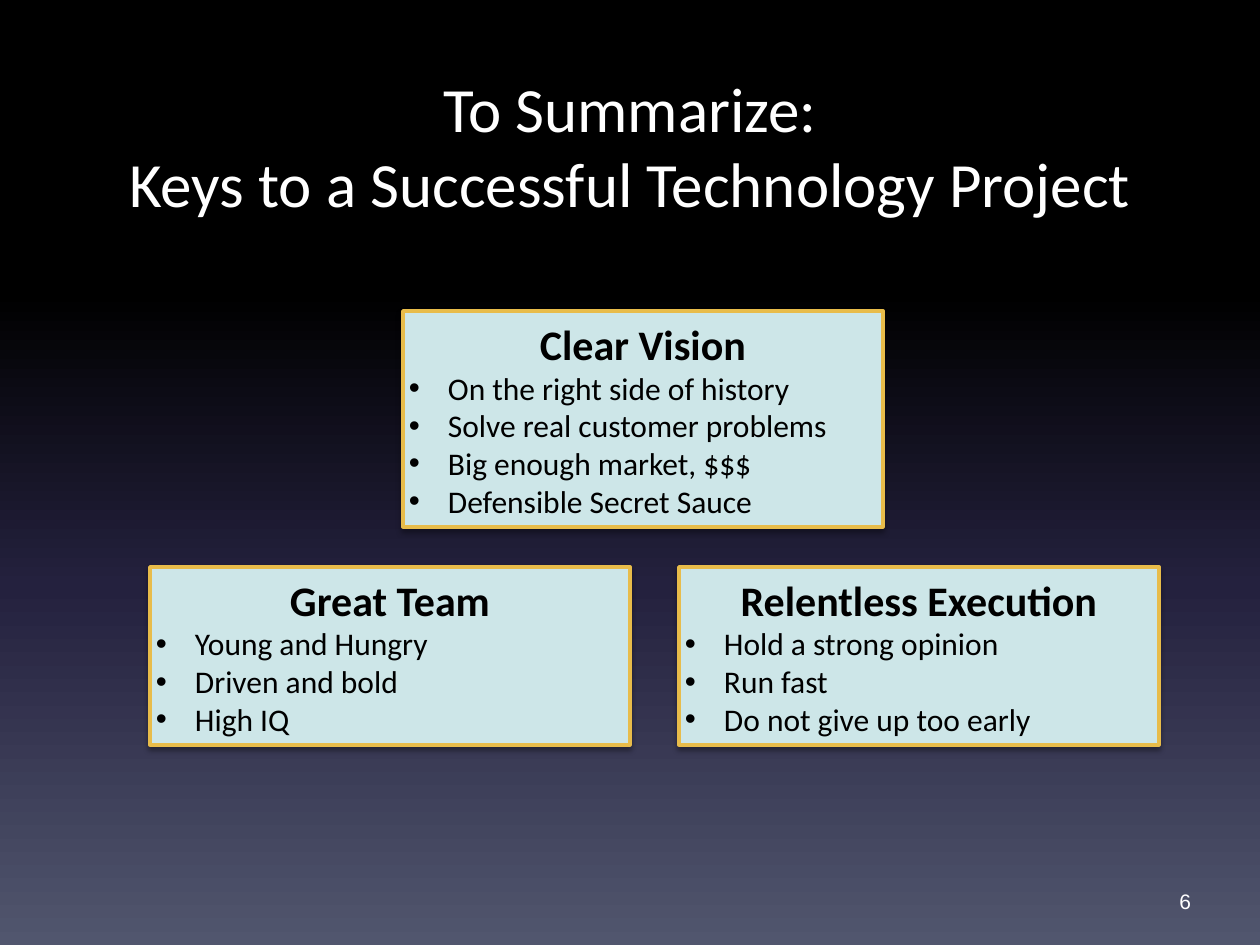
from lxml.etree import SubElement
from pptx import Presentation
from pptx.dml.color import RGBColor
from pptx.enum.shapes import MSO_SHAPE
from pptx.enum.text import MSO_ANCHOR, PP_ALIGN
from pptx.oxml import parse_xml
from pptx.oxml.ns import nsdecls, qn
from pptx.util import Emu, Pt

COLORS = {"white": "FFFFFF", "black": "000000", "card": "CDE6E8", "border": "E8BC4A"}
BACKGROUND_STOPS = [(0, "000000"), (31, "000000"), (62, "24213E"), (100, "51566E")]

TITLE = "To Summarize:\vKeys to a Successful Technology Project"
PAGE_NUMBER = "6"
CARDS = [  # left, top, heading, points
    (403, 311, "Clear Vision", [
        "On the right side of history",
        "Solve real customer problems",
        "Big enough market, $$$",
        "Defensible Secret Sauce",
    ]),
    (679, 567, "Relentless Execution", [
        "Hold a strong opinion", "Run fast", "Do not give up too early",
    ]),
    (150, 567, "Great Team", ["Young and Hungry", "Driven and bold", "High IQ"]),
]
CARD_WIDTH, HEADING_HEIGHT, POINT_HEIGHT = 480, 64, 38
INSET, INDENT = 6, 39

TITLE_STYLE = {"size": Pt(36), "name": "Calibri", "bold": False}
NUMBER_STYLE = {"size": Pt(12), "name": "Arial", "bold": False}
HEADING_STYLE = {"size": Pt(24), "name": "Calibri", "bold": True}
POINT_STYLE = {"size": Pt(18), "name": "Calibri", "bold": False}


def px(value):
    return Emu(round(value * 914400 / 126))


def rgb(name):
    return RGBColor.from_string(COLORS[name])


def set_background(slide):
    slide.background.fill.solid()
    solid = slide.element.find(".//" + qn("p:bgPr")).find(qn("a:solidFill"))
    stops = "".join(
        f'<a:gs pos="{position * 1000}"><a:srgbClr val="{color}"/></a:gs>'
        for position, color in BACKGROUND_STOPS
    )
    gradient = parse_xml(
        f'<a:gradFill {nsdecls("a")} rotWithShape="1"><a:gsLst>{stops}</a:gsLst>'
        '<a:lin ang="5400000" scaled="0"/></a:gradFill>'
    )
    solid.getparent().replace(solid, gradient)


def set_frame(shape, anchor, wrap=True):
    frame = shape.text_frame
    values = {"word_wrap": wrap, "vertical_anchor": anchor}
    for side in ("left", "top", "right", "bottom"):
        values[f"margin_{side}"] = px(INSET)
    for name, value in values.items():
        setattr(frame, name, value)
    return frame


def write(paragraph, text, style, color, alignment):
    paragraph.text = text
    paragraph.alignment = alignment
    for run in paragraph.runs:
        for name, value in style.items():
            setattr(run.font, name, value)
        run.font.color.rgb = rgb(color)


def add_label(slide, box, text, style, alignment, anchor, wrap=True):
    label = slide.shapes.add_textbox(*map(px, box))
    frame = set_frame(label, anchor, wrap)
    write(frame.paragraphs[0], text, style, "white", alignment)


def add_bullet(paragraph):
    properties = paragraph._p.get_or_add_pPr()
    properties.set("marL", str(px(INDENT)))
    properties.set("indent", str(-px(INDENT)))
    SubElement(properties, qn("a:buFont"), typeface="Arial")
    SubElement(properties, qn("a:buChar"), char="•")


def add_shadow(shape):
    shape.shadow.inherit = False
    effects = shape._element.spPr.find(qn("a:effectLst"))
    effects.append(parse_xml(
        f'<a:outerShdw {nsdecls("a")} blurRad="{Pt(3)}" dist="{Pt(1.8)}" '
        f'dir="5400000" rotWithShape="0"><a:srgbClr val="{COLORS["black"]}">'
        '<a:alpha val="35000"/></a:srgbClr></a:outerShdw>'
    ))


def add_card(slide, left, top, heading, points):
    height = HEADING_HEIGHT + POINT_HEIGHT * len(points)
    card = slide.shapes.add_shape(
        MSO_SHAPE.RECTANGLE, *map(px, (left, top, CARD_WIDTH, height)))
    card.fill.solid()
    card.fill.fore_color.rgb = rgb("card")
    card.line.color.rgb = rgb("border")
    card.line.width = Pt(2)
    add_shadow(card)
    frame = set_frame(card, MSO_ANCHOR.MIDDLE)
    write(frame.paragraphs[0], heading, HEADING_STYLE, "black", PP_ALIGN.CENTER)
    for point in points:
        paragraph = frame.add_paragraph()
        write(paragraph, point, POINT_STYLE, "black", PP_ALIGN.LEFT)
        add_bullet(paragraph)


def main():
    presentation = Presentation()
    presentation.slide_width, presentation.slide_height = px(1260), px(945)
    slide = presentation.slides.add_slide(presentation.slide_layouts[6])
    set_background(slide)
    add_label(slide, (63, 63, 1134, 158), TITLE, TITLE_STYLE,
              PP_ALIGN.CENTER, MSO_ANCHOR.TOP)
    add_label(slide, (1159, 883, 38, 37), PAGE_NUMBER, NUMBER_STYLE,
              PP_ALIGN.RIGHT, MSO_ANCHOR.MIDDLE, wrap=False)
    for card in CARDS:
        add_card(slide, *card)
    presentation.save("out.pptx")


if __name__ == "__main__":
    main()
